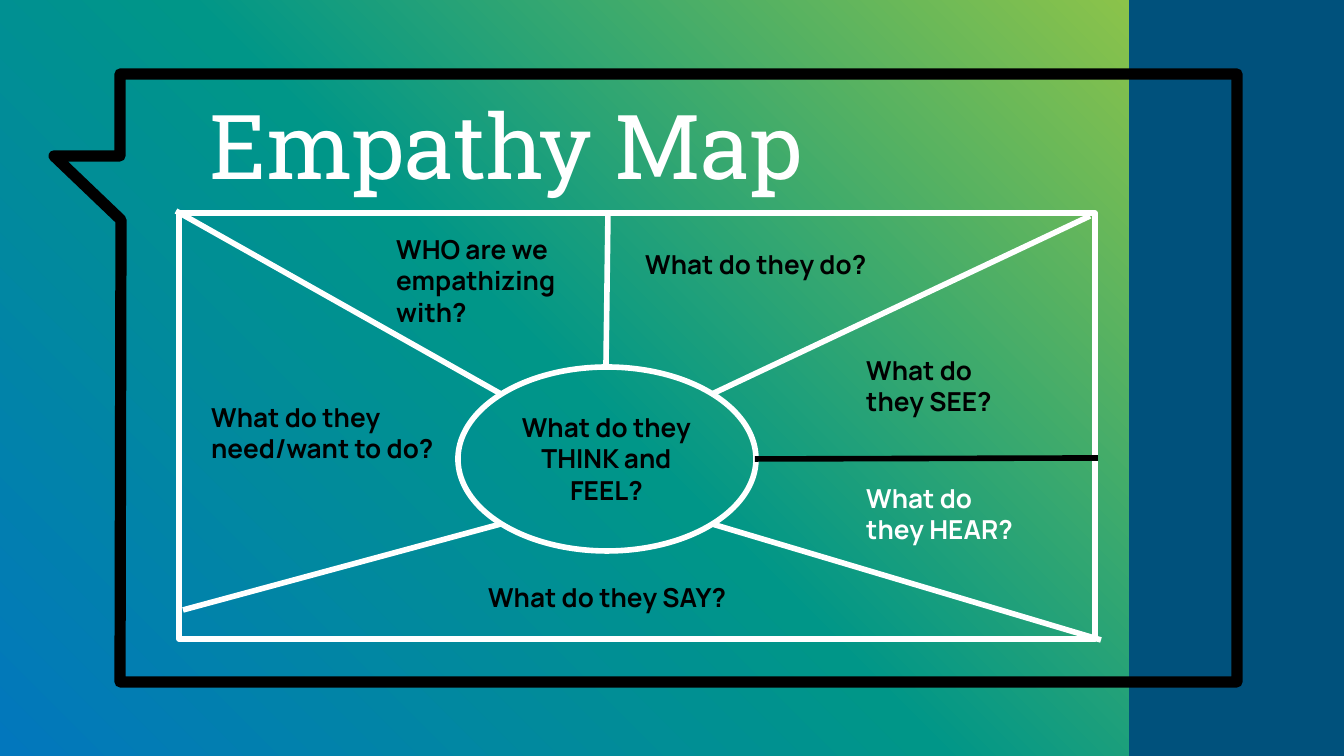
"""Build the empathy map slide."""
from copy import deepcopy

from pptx import Presentation
from pptx.dml.color import RGBColor
from pptx.enum.shapes import MSO_CONNECTOR, MSO_SHAPE
from pptx.enum.text import MSO_ANCHOR, PP_ALIGN
from pptx.oxml.ns import qn
from pptx.util import Emu, Inches, Pt
from lxml.etree import SubElement

NAVY = RGBColor(0x00, 0x51, 0x7C)
BLUE = RGBColor(0x02, 0x77, 0xBD)
TEAL = RGBColor(0x00, 0x96, 0x88)
LIME = RGBColor(0x8B, 0xC3, 0x4A)
BLACK = RGBColor(0x00, 0x00, 0x00)
WHITE = RGBColor(0xFF, 0xFF, 0xFF)

WIDTH, HEIGHT = 1344, 756
SCALE = Inches(10) / WIDTH

BACKDROP = (0, 0, 1129, HEIGHT)
BACKDROP_STOPS = [(0, BLUE), (0.5, TEAL), (1, LIME)]
BUBBLE = [(120, 74), (1237, 74), (1237, 682), (120, 682), (121, 220), (54, 156), (120, 156)]
MAP_OUTLINES = [
    (MSO_SHAPE.RECTANGLE, (179, 213, 916, 426)),
    (MSO_SHAPE.OVAL, (458, 367, 298, 184)),
]
DIVIDERS = [
    ((501, 394), (176, 211), WHITE),
    ((712, 394), (1090, 216), WHITE),
    ((501, 524), (183, 610), WHITE),
    ((712, 524), (1101, 640), WHITE),
    ((608, 213), (606, 367), WHITE),
    ((1098, 458), (755, 459), BLACK),
]
TITLE = ("Empathy Map", (196, 77, 859, 171))
TITLE_FONT = {"name": "Roboto Slab", "size": Pt(48), "bold": False}
QUESTION_FONT = {"name": "Manrope", "size": Pt(14), "bold": True}
QUESTIONS = [
    ("WHO are we empathizing with?", (383, 220, 210, 122), BLACK, PP_ALIGN.LEFT),
    ("What do they do?", (632, 235, 259, 59), BLACK, PP_ALIGN.LEFT),
    ("What do they THINK and FEEL?", (491, 398, 231, 122), BLACK, PP_ALIGN.CENTER),
    ("What do they need/want to do?", (198, 388, 259, 90), BLACK, PP_ALIGN.LEFT),
    ("What do they SAY?", (475, 568, 271, 59), BLACK, PP_ALIGN.LEFT),
    ("What do they SEE?", (853, 341, 181, 90), BLACK, PP_ALIGN.LEFT),
    ("What do\nthey HEAR?", (853, 469, 181, 90), WHITE, PP_ALIGN.LEFT),
]


def px(*lengths):
    return [Emu(round(length * SCALE)) for length in lengths]


def outline(shape, color, points):
    shape.shadow.inherit = False
    shape.fill.background()
    shape.line.color.rgb = color
    shape.line.width = Pt(points)


def add_backdrop(shapes):
    backdrop = shapes.add_shape(MSO_SHAPE.RECTANGLE, *px(*BACKDROP))
    backdrop.shadow.inherit = False
    backdrop.line.fill.background()
    fill = backdrop.fill
    fill.gradient()
    fill.gradient_angle = 45
    first_stop = backdrop._element.spPr.find(".//" + qn("a:gs"))
    first_stop.addnext(deepcopy(first_stop))
    for stop, (position, color) in zip(fill.gradient_stops, BACKDROP_STOPS):
        stop.position = position
        stop.color.rgb = color


def add_bubble(shapes):
    builder = shapes.build_freeform(*BUBBLE[0], scale=SCALE)
    builder.add_line_segments(BUBBLE[1:], close=True)
    outline(builder.convert_to_shape(), BLACK, 6)


def add_divider(shapes, start, end, color):
    divider = shapes.add_connector(MSO_CONNECTOR.STRAIGHT, *px(*start, *end))
    divider.line.color.rgb = color
    divider.line.width = Pt(3)
    SubElement(divider._element.spPr, qn("a:effectLst"))


def add_text(shapes, text, box, color, align, font_format):
    frame = shapes.add_textbox(*px(*box)).text_frame
    frame.word_wrap = True
    frame.vertical_anchor = MSO_ANCHOR.TOP
    for side in ("left", "top", "right", "bottom"):
        setattr(frame, f"margin_{side}", Inches(0.1))
    frame.text = text
    for paragraph in frame.paragraphs:
        paragraph.alignment = align
        for run in paragraph.runs:
            run.font.color.rgb = color
            for key, value in font_format.items():
                setattr(run.font, key, value)


def main():
    deck = Presentation()
    deck.slide_width, deck.slide_height = px(WIDTH, HEIGHT)
    slide = deck.slides.add_slide(deck.slide_layouts[6])
    slide.background.fill.solid()
    slide.background.fill.fore_color.rgb = NAVY
    shapes = slide.shapes

    add_backdrop(shapes)
    add_bubble(shapes)
    add_text(shapes, *TITLE, WHITE, PP_ALIGN.LEFT, TITLE_FONT)
    for kind, box in MAP_OUTLINES:
        outline(shapes.add_shape(kind, *px(*box)), WHITE, 3)
    for divider in DIVIDERS:
        add_divider(shapes, *divider)
    for question in QUESTIONS:
        add_text(shapes, *question, QUESTION_FONT)
    deck.save("out.pptx")


if __name__ == "__main__":
    main()
